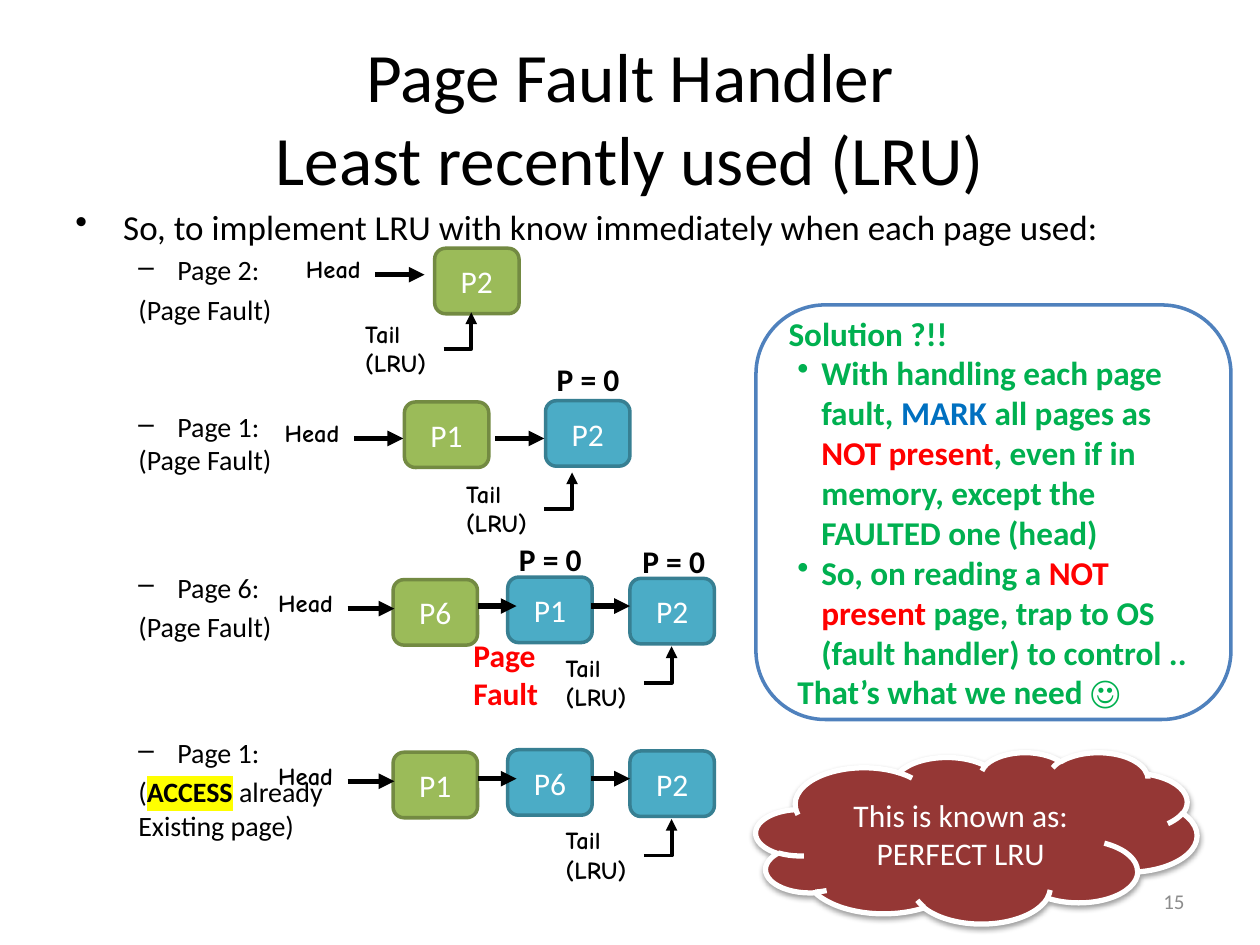
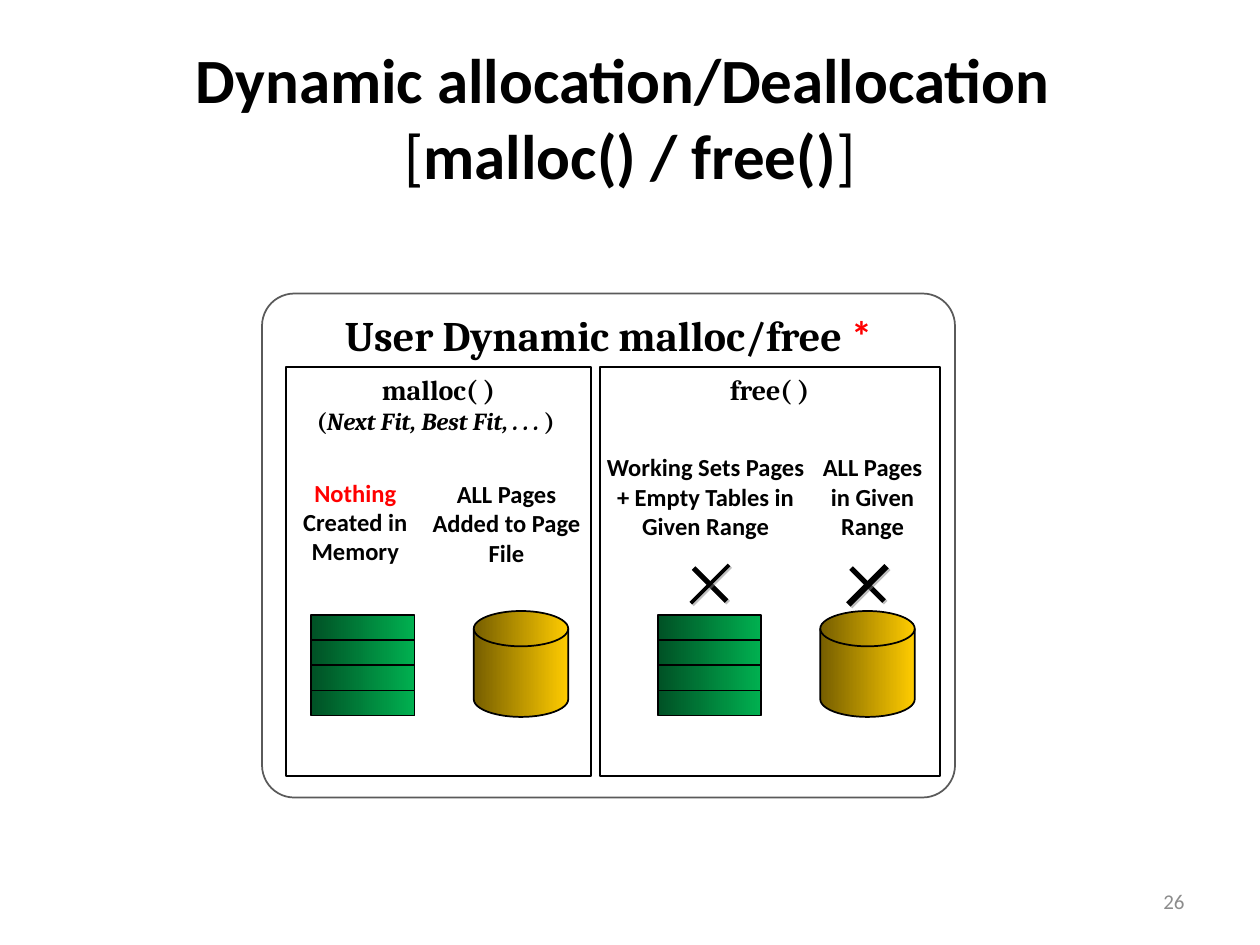
"""Build two slides: LRU page lists and dynamic allocation."""
from copy import deepcopy

from lxml.etree import SubElement
from pptx import Presentation
from pptx.dml.color import RGBColor
from pptx.enum.shapes import MSO_CONNECTOR as Connector, MSO_SHAPE as Shape
from pptx.enum.text import MSO_ANCHOR as Anchor, MSO_AUTO_SIZE as AutoSize, PP_ALIGN as Align
from pptx.oxml.ns import qn
from pptx.util import Inches, Pt

rgb = RGBColor.from_string
BLACK, WHITE, RED, GREEN, MARK_BLUE = "000000", "FFFFFF", "FF0000", "00B050", "0070C0"
HEAD_COLORS, OTHER_COLORS = ("9BBB59", "738A42"), ("4BACC6", "377F92")
MEMORY_GRADIENT, DISK_GRADIENT = ("005125", GREEN), ("765E00", "FFCC00")
CROSS_SHADOW = ("7F7F7F", 50, 0, 1.4, 45)


def write(shape, paragraphs, align=Align.LEFT, anchor=Anchor.TOP, inset=(0.1, 0.05), wrap=True, **base):
    """Fill a shape with paragraphs, each a string or a list of (text, format) runs."""
    frame = shape.text_frame
    frame.word_wrap, frame.vertical_anchor, frame.auto_size = wrap, anchor, AutoSize.NONE
    frame.margin_left = frame.margin_right = Inches(inset[0])
    frame.margin_top = frame.margin_bottom = Inches(inset[1])
    for number, content in enumerate(paragraphs):
        paragraph = frame.add_paragraph() if number else frame.paragraphs[0]
        paragraph.alignment = align
        for text, changes in [(content, {})] if isinstance(content, str) else content:
            style = {"size": 18, "font": "Calibri", "color": BLACK, "bold": False} | base | changes
            for index, piece in enumerate(text.split("\n")):
                if index:
                    paragraph.add_line_break()
                    paragraph._p[-1].append(deepcopy(run._r.rPr))
                if not piece:
                    continue
                run = paragraph.add_run()
                run.text = piece
                run.font.size, run.font.name = Pt(style["size"]), style["font"]
                run.font.bold, run.font.italic = style["bold"], style.get("italic", False)
                run.font.color.rgb = rgb(style["color"])
                if "highlight" in style:
                    highlight = SubElement(run._r.rPr, qn("a:highlight"))
                    SubElement(highlight, qn("a:srgbClr"), val=style["highlight"])
                    run._r.rPr.find(qn("a:solidFill")).addnext(highlight)


def add_box(slide, place, paragraphs=(), kind=None, fill=WHITE, line=None, weight=1, shadow=None, **style):
    """Add a text box, or a preset shape when a kind is given."""
    box = [Inches(length) for length in place]
    if kind is None:
        shape = slide.shapes.add_textbox(*box)
    else:
        shape = slide.shapes.add_shape(kind, *box)
        shape.shadow.inherit = False
        if isinstance(fill, tuple):
            shape.fill.gradient()
            shape.fill.gradient_angle = 0
            for stop, color in zip(shape.fill.gradient_stops, fill):
                stop.color.rgb = rgb(color)
        else:
            shape.fill.solid()
            shape.fill.fore_color.rgb = rgb(fill)
        if line:
            shape.line.color.rgb, shape.line.width = rgb(line), Pt(weight)
        else:
            shape.line.fill.background()
    if shadow:
        color, alpha, blur, distance, angle = shadow
        outer = SubElement(shape._element.spPr.find(qn("a:effectLst")), qn("a:outerShdw"),
                           blurRad=str(Pt(blur)), dist=str(Pt(distance)),
                           dir=str(angle * 60000), rotWithShape="0")
        tint = SubElement(outer, qn("a:srgbClr"), val=color)
        SubElement(tint, qn("a:alpha"), val=str(alpha * 1000))
    write(shape, paragraphs, **style)
    return shape


presentation = Presentation()
presentation.slide_width, presentation.slide_height = Inches(10), Inches(7.5)
titles = [
    ("Page Fault Handler\nLeast recently used (LRU)", 39.6, "15"),
    ([("Dynamic allocation/Deallocation \n", {"bold": True}), ("[", {}),
      ("malloc() / free()", {"bold": True}), ("]", {})], 36, "26"),
]
for title_text, title_size, page_number in titles:
    slide = presentation.slides.add_slide(presentation.slide_layouts[5])
    title = slide.shapes.title
    title.left, title.top, title.width, title.height = map(Inches, (0.5, 0.3, 9, 1.25))
    write(title, [title_text], size=title_size, align=Align.CENTER, anchor=Anchor.MIDDLE)
    add_box(slide, (7.17, 6.95, 2.33, 0.4), [page_number], size=12, color="8C8C8C",
            align=Align.RIGHT, anchor=Anchor.MIDDLE)
lru_slide, allocation_slide = presentation.slides

steps = add_box(lru_slide, (0.5, 1.58, 9, 5.62), [
    [("So, to implement LRU with know immediately when each page used:", {"size": 20})],
    "Page 2:", "(Page Fault)", "Page 1:", "(Page Fault)", "Page 6:", "(Page Fault)", "Page 1:",
    [("(", {}), ("ACCESS", {"bold": True, "highlight": "FFFF00"}), (" already\nExisting page)", {})],
], size=16)
for paragraph, space in zip(steps.text_frame.paragraphs, (0, 3.2, 3.2, 48, 3.2, 54, 3.2, 53, 3.2)):
    paragraph.space_before = Pt(space)
steps.text_frame.paragraphs[4].line_spacing = 0.8

page_rows = [
    ((2.98, 3.37, 2.18), (3.52, 2.77), [("P2", 3.45, 1.97)], []),
    ((2.81, 3.2, 3.48), (4.32, 4.04), [("P1", 3.21, 3.19), ("P2", 4.33, 3.18)], [(3.93, 4.32, 3.48)]),
    ((2.76, 3.13, 4.83), (5.11, 5.42), [("P6", 3.12, 4.6), ("P1", 4.03, 4.58), ("P2", 5, 4.59)],
     [(3.79, 4.1, 4.81), (4.69, 5, 4.81)]),
    ((2.76, 3.13, 6.2), (5.11, 6.79), [("P1", 3.12, 5.97), ("P6", 4.03, 5.95), ("P2", 5, 5.96)],
     [(3.79, 4.1, 6.18), (4.69, 5, 6.18)]),
]
label_style = {"size": 14, "font": "Comic Neue", "bold": True, "wrap": False}
for head_arrow, (tail_x, tail_y), pages, links in page_rows:
    add_box(lru_slide, (head_arrow[0] - 0.65, head_arrow[2] - 0.21, 0.69, 0.33), ["Head"], **label_style)
    add_box(lru_slide, (tail_x - 0.72, tail_y - 0.29, 0.72, 0.57), ["Tail \n(LRU)"], **label_style)
    for index, (name, left, top) in enumerate(pages):
        fill, line = OTHER_COLORS if index else HEAD_COLORS
        add_box(lru_slide, (left, top, 0.67, 0.52), [name], Shape.ROUNDED_RECTANGLE, fill, line, 2,
                color=WHITE, align=Align.CENTER, anchor=Anchor.MIDDLE)
    arrows = [(Connector.STRAIGHT, x1, y, x2, y, 3) for x1, x2, y in [head_arrow, *links]]
    arrows.append((Connector.ELBOW, tail_x, tail_y, tail_x + 0.22, tail_y - 0.29, 2.25))
    for kind, *ends, weight in arrows:
        arrow = lru_slide.shapes.add_connector(kind, *map(Inches, ends))
        arrow.line.color.rgb, arrow.line.width = rgb(BLACK), Pt(weight)
        SubElement(arrow.line._get_or_add_ln(), qn("a:tailEnd"), type="triangle")
        properties = arrow._element.spPr
        SubElement(properties, qn("a:effectLst"))
        if kind == Connector.ELBOW:
            properties.find(qn("a:prstGeom")).set("prst", "bentConnector2")

solution = add_box(lru_slide, (6, 2.42, 3.77, 3.29), [
    "Solution ?!!",
    [("With handling each page fault, ", {}), ("MARK", {"color": MARK_BLUE}), (" all pages as ", {}),
     ("NOT present", {"color": RED}), (", even if in memory, except the FAULTED one (head)", {})],
    [("So, on reading a ", {}), ("NOT present", {"color": RED}),
     (" page, trap to OS (fault handler) to control ..", {})],
    "That’s what we need ☺",
], Shape.ROUNDED_RECTANGLE, line="4F81BD", weight=2, size=19, bold=True, color=GREEN, anchor=Anchor.MIDDLE)
dash, plain, dot = (0.81, -0.31, "–"), (0.5, 0, None), (0.26, -0.19, "•")
indents = [(0.38, -0.38, "•"), *[dash, plain] * 4, (0, 0, None), dot, dot, (0.07, 0, None)]
for paragraph, (margin, indent, bullet) in zip(
        [*steps.text_frame.paragraphs, *solution.text_frame.paragraphs], indents):
    properties = paragraph._p.get_or_add_pPr()
    properties.set("marL", str(Inches(margin)))
    properties.set("indent", str(Inches(indent)))
    if bullet:
        SubElement(properties, qn("a:buChar"), char=bullet)

add_box(lru_slide, (6, 5.97, 3.5, 1.36), ["This is known as: PERFECT LRU"], Shape.CLOUD, "953735", WHITE, 3,
        shadow=(BLACK, 38, 3.1, 1.6, 90), color=WHITE, align=Align.CENTER, anchor=Anchor.MIDDLE)
for left, top in [(4.32, 2.81), (4.02, 4.24), (5, 4.25)]:
    add_box(lru_slide, (left, top, 0.71, 0.4), ["P = 0"], bold=True, wrap=False)
add_box(lru_slide, (3.66, 5, 0.76, 0.71), ["Page", "Fault"], bold=True, color=RED, wrap=False)

frame_box = add_box(allocation_slide, (2.08, 2.33, 5.5, 4), [
    [("User Dynamic malloc/free ", {"font": "Cambria"}), ("*", {"color": RED})],
], Shape.ROUNDED_RECTANGLE, line="5A5A5A", size=24, bold=True, align=Align.CENTER)
frame_box.adjustments[0] = 0.064
panels = [
    (2.27, 2.42, 2.47, [("malloc( )\n", {}), ("(", {"size": 14}),
                        ("Next Fit, Best Fit, . . .", {"size": 14, "italic": True}), (" ) ", {"size": 14})]),
    (4.76, 2.7, 5.22, [("free( )", {})]),
]
for left, width, memory_left, heading in panels:
    add_box(allocation_slide, (left, 2.91, width, 3.25), [heading], Shape.RECTANGLE, line=BLACK,
            size=16, font="Cambria", bold=True, align=Align.CENTER, inset=(0.02, 0.05))
    for row in range(4):
        add_box(allocation_slide, (memory_left, 4.88 + 0.2 * row, 0.82, 0.2), (), Shape.RECTANGLE,
                MEMORY_GRADIENT, BLACK)
    add_box(allocation_slide, (memory_left + 1.29, 4.85, 0.75, 0.84), (), Shape.FLOWCHART_MAGNETIC_DISK,
            DISK_GRADIENT, BLACK)

captions = [
    ((2.27, 3.75, 1.1, 0.94), 0.04, [("Nothing", {"color": RED}), (" Created in Memory", {})]),
    ((3.38, 3.76, 1.28, 0.9), 0.04, "ALL Pages Added to Page File"),
    ((4.81, 3.59, 1.58, 1.1), 0, "Working Sets Pages + Empty Tables in Given Range"),
    ((6.44, 3.59, 0.97, 0.83), 0, "ALL Pages in Given Range"),
]
for place, inset, caption in captions:
    add_box(allocation_slide, place, [caption], size=14, bold=True, align=Align.CENTER, inset=(inset, inset))
for left, thickness in [(5.42, 0.03), (6.67, 0.05)]:
    for place, angle in [((left + 0.03, 4.62, 0.37, 0.04), 45), ((left, 4.62, 0.43, thickness), 315)]:
        stroke = add_box(allocation_slide, place, (), Shape.RECTANGLE, BLACK, shadow=CROSS_SHADOW)
        stroke.rotation = angle

presentation.save("out.pptx")
